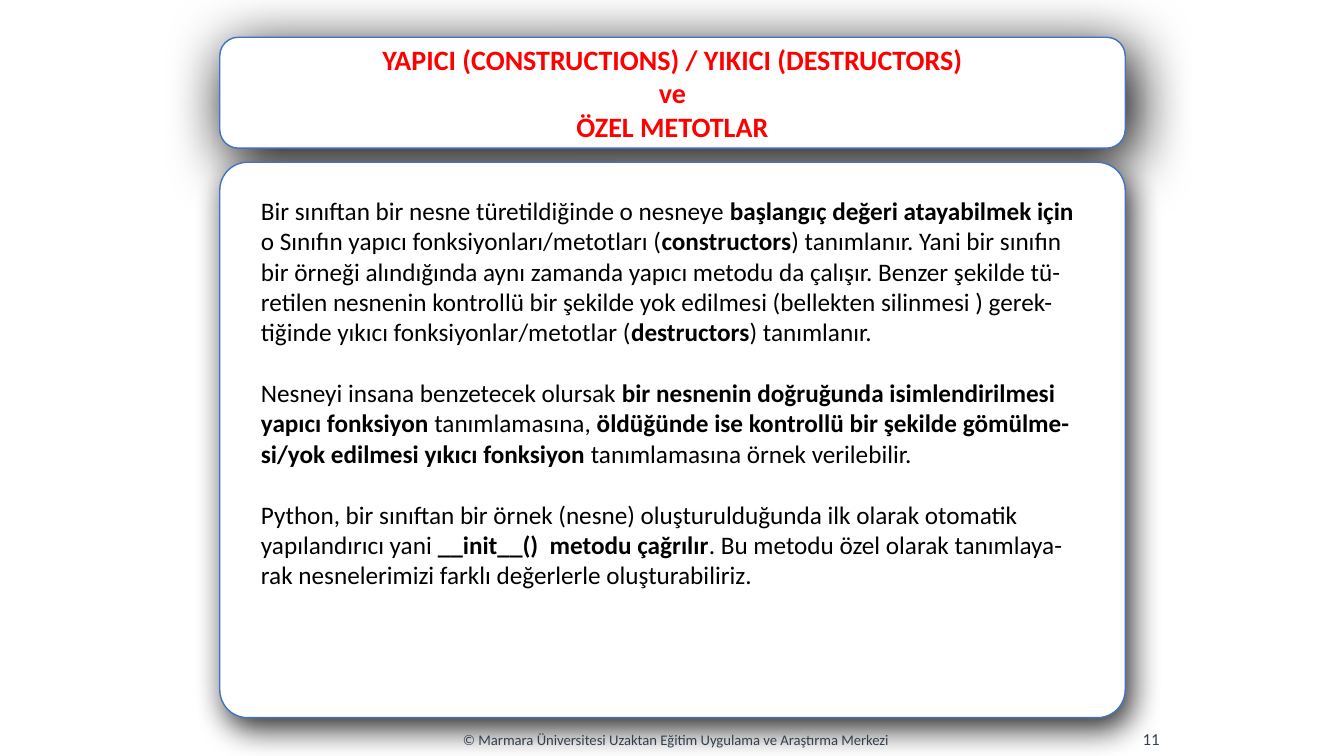
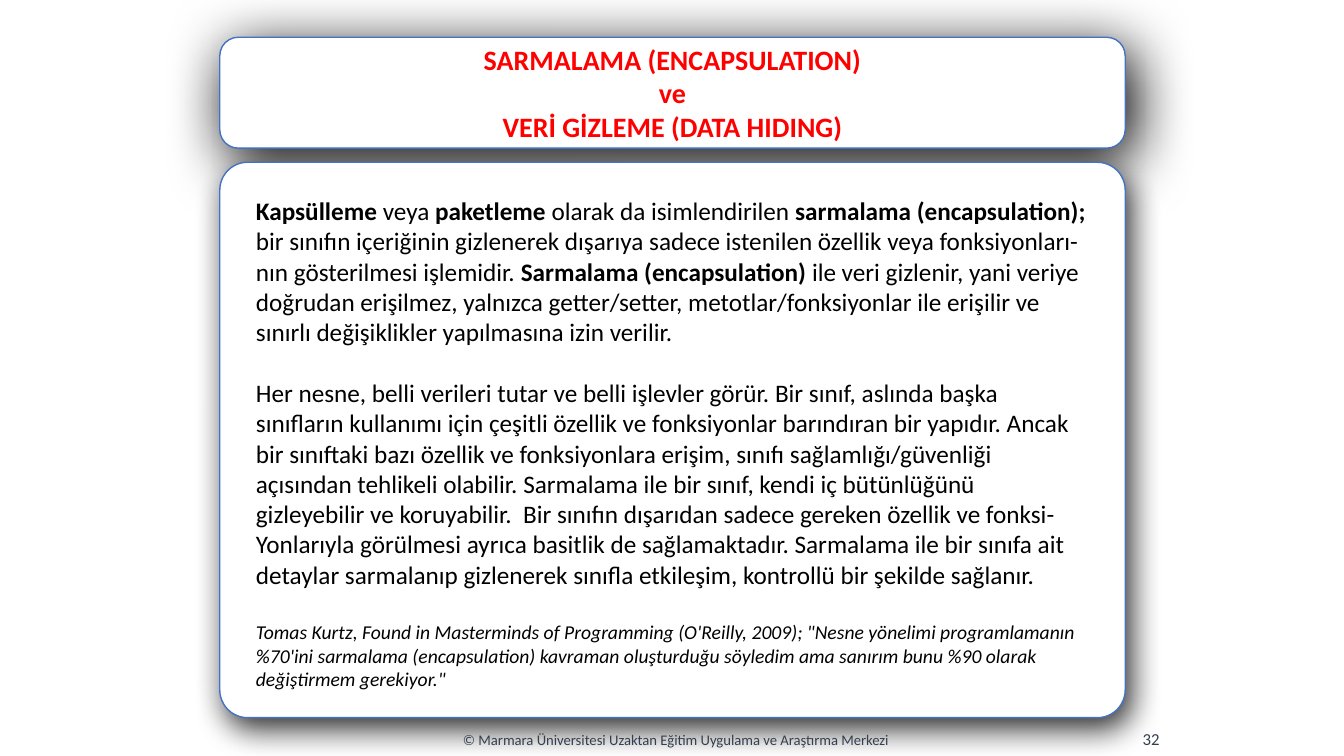
from lxml import etree
from pptx import Presentation
from pptx.dml.color import RGBColor
from pptx.enum.shapes import MSO_SHAPE
from pptx.enum.text import MSO_ANCHOR, PP_ALIGN
from pptx.oxml.ns import qn
from pptx.util import Inches, Pt

ROUNDED = MSO_SHAPE.ROUNDED_RECTANGLE
MIDDLE, TOP = MSO_ANCHOR.MIDDLE, MSO_ANCHOR.TOP
LEFT, CENTER, RIGHT = PP_ALIGN.LEFT, PP_ALIGN.CENTER, PP_ALIGN.RIGHT

FONT = "Calibri"
COLORS = {"card": "FFFFFF", "outline": "4472C4", "shadow": "000000",
          "title": "FF0000", "body": "000000", "footer": "333F50"}

# Boxes are left, top, width, height in inches
TITLE_BOX = (2.18, 0.37, 8.98, 1.1)
BODY_BOX = (2.18, 1.61, 8.98, 5.51)
COPYRIGHT_BOX = (3.75, 7.14, 5.91, 0.4)
NUMBER_BOX = (9.27, 7.13, 2.33, 0.4)
COPYRIGHT = "© Marmara Üniversitesi Uzaktan Eğitim Uygulama ve Araştırma Merkezi"
BODY_SIZE, QUOTE_SIZE, BLOCK_GAP = 18, 14, 22

SLIDES = [
    {
        "number": "11",
        "title": ["YAPICI (CONSTRUCTIONS) / YIKICI (DESTRUCTORS)", "ve", "ÖZEL METOTLAR"],
        "inset": 0.31,
        "blocks": [
            ["Bir sınıftan bir nesne türetildiğinde o nesneye **başlangıç değeri atayabilmek "
             "için **o Sınıfın yapıcı fonksiyonları/metotları (**constructors**) tanımlanır. "
             "Yani bir sınıfın bir örneği alındığında aynı zamanda yapıcı metodu da çalışır. "
             "Benzer şekilde tü- retilen nesnenin kontrollü bir şekilde yok edilmesi "
             "(bellekten silinmesi ) gerek- tiğinde yıkıcı fonksiyonlar/metotlar "
             "(**destructors**) tanımlanır."],
            ["Nesneyi insana benzetecek olursak **bir nesnenin doğruğunda isimlendirilmesi "
             "yapıcı fonksiyon **tanımlamasına, **öldüğünde ise kontrollü bir şekilde "
             "gömülme- si/yok edilmesi yıkıcı fonksiyon **tanımlamasına örnek verilebilir."],
            ["Python, bir sınıftan bir örnek (nesne) oluşturulduğunda ilk olarak otomatik "
             "yapılandırıcı yani **__init__()  metodu çağrılır**. Bu metodu özel olarak "
             "tanımlaya- rak nesnelerimizi farklı değerlerle oluşturabiliriz."],
        ],
        "quote": None,
    },
    {
        "number": "32",
        "title": ["SARMALAMA (ENCAPSULATION)", "ve", "VERİ GİZLEME (DATA HIDING)"],
        "inset": 0.26,
        "blocks": [
            ["**Kapsülleme **veya **paketleme **olarak da isimlendirilen **sarmalama "
             "(encapsulation); **bir sınıfın içeriğinin gizlenerek dışarıya sadece istenilen "
             "özellik veya fonksiyonları- nın gösterilmesi işlemidir. **Sarmalama "
             "(encapsulation) **ile veri gizlenir, yani veriye doğrudan erişilmez, yalnızca "
             "getter/setter, metotlar/fonksiyonlar ile erişilir ve sınırlı değişiklikler "
             "yapılmasına izin verilir."],
            ["Her nesne, belli verileri tutar ve belli işlevler görür. Bir sınıf, aslında "
             "başka sınıfların kullanımı için çeşitli özellik ve fonksiyonlar barındıran bir "
             "yapıdır. Ancak bir sınıftaki bazı özellik ve fonksiyonlara erişim, sınıfı "
             "sağlamlığı/güvenliği açısından tehlikeli olabilir. Sarmalama ile bir sınıf, "
             "kendi iç bütünlüğünü gizleyebilir ve koruyabilir.  Bir sınıfın dışarıdan "
             "sadece gereken özellik ve fonksi-",
             "Yonlarıyla görülmesi ayrıca basitlik de sağlamaktadır. Sarmalama ile bir sınıfa "
             "ait detaylar sarmalanıp gizlenerek sınıfla etkileşim, kontrollü bir şekilde "
             "sağlanır."],
        ],
        "quote": "Tomas Kurtz, Found in Masterminds of Programming (O'Reilly, 2009); \"Nesne "
                 "yönelimi programlamanın %70'ini sarmalama (encapsulation) kavraman "
                 "oluşturduğu söyledim ama sanırım bunu %90 olarak değiştirmem gerekiyor.\"",
    },
]


def rgb(name):
    return RGBColor.from_string(COLORS[name])


def style(paragraph, size, color, align=LEFT):
    paragraph.alignment = align
    font = paragraph.font
    font.name, font.size, font.color.rgb = FONT, Pt(size), rgb(color)


def add_card(slide, box, alpha, blur, angle, corner=None):
    """Rounded white card; alpha in percent, blur in points, angle in degrees."""
    card = slide.shapes.add_shape(ROUNDED, *map(Inches, box))
    if corner is not None:
        card.adjustments[0] = corner
    card.fill.solid()
    card.fill.fore_color.rgb = rgb("card")
    card.line.color.rgb = rgb("outline")
    card.line.width = Pt(1)
    card.shadow.inherit = False
    effects = card._element.spPr.find(qn("a:effectLst"))
    shadow = etree.SubElement(effects, qn("a:outerShdw"), blurRad=str(Pt(blur)),
                              dist=str(Pt(9)), dir=str(angle * 60000), rotWithShape="0")
    tint = etree.SubElement(shadow, qn("a:srgbClr"), val=COLORS["shadow"])
    etree.SubElement(tint, qn("a:alpha"), val=str(alpha * 1000))


def add_text_frame(slide, box, anchor):
    frame = slide.shapes.add_textbox(*map(Inches, box)).text_frame
    frame.word_wrap = True
    frame.vertical_anchor = anchor
    return frame


def add_title(slide, box, lines):
    add_card(slide, box, alpha=99, blur=43, angle=60)
    title = slide.shapes.title
    slide.shapes._spTree.append(title._element)  # in front of its card
    title.left, title.top, title.width, title.height = map(Inches, box)
    frame = title.text_frame
    frame.text = "\n".join(lines)
    frame.vertical_anchor = MIDDLE
    for paragraph in frame.paragraphs:
        style(paragraph, 20, "title", CENTER)
        paragraph.font.bold = True


def add_body(slide, box, inset, blocks, quote):
    """Card with blocks of paragraphs, ** around bold words, and an italic quote."""
    add_card(slide, box, alpha=81, blur=23, angle=64, corner=0.05)
    left, top, width, height = box
    frame = add_text_frame(
        slide, (left + inset, top + 0.28, width - 2 * inset, height - 0.46), TOP)
    paragraph = frame.paragraphs[0]
    for block_index, block in enumerate(blocks):
        for line_index, line in enumerate(block):
            if block_index or line_index:
                paragraph = frame.add_paragraph()
            style(paragraph, BODY_SIZE, "body")
            if block_index and not line_index:
                paragraph.space_before = Pt(BLOCK_GAP)
            for part_index, part in enumerate(line.split("**")):
                if part:
                    run = paragraph.add_run()
                    run.text = part
                    if part_index % 2:
                        run.font.bold = True
    if quote:
        paragraph = frame.add_paragraph()
        paragraph.text = quote
        style(paragraph, QUOTE_SIZE, "body")
        paragraph.font.italic = True
        paragraph.space_before = Pt(BLOCK_GAP)


def add_footer(slide, number):
    for box, text, size, align in ((COPYRIGHT_BOX, COPYRIGHT, 10.5, CENTER),
                                   (NUMBER_BOX, number, 12, RIGHT)):
        frame = add_text_frame(slide, box, MIDDLE)
        frame.text = text
        style(frame.paragraphs[0], size, "footer", align)


def main():
    prs = Presentation()
    prs.slide_width, prs.slide_height = Inches(13.33), Inches(7.5)
    title_only = prs.slide_layouts[5]
    for content in SLIDES:
        slide = prs.slides.add_slide(title_only)
        add_title(slide, TITLE_BOX, content["title"])
        add_body(slide, BODY_BOX, content["inset"], content["blocks"], content["quote"])
        add_footer(slide, content["number"])
    prs.save("out.pptx")


if __name__ == "__main__":
    main()
